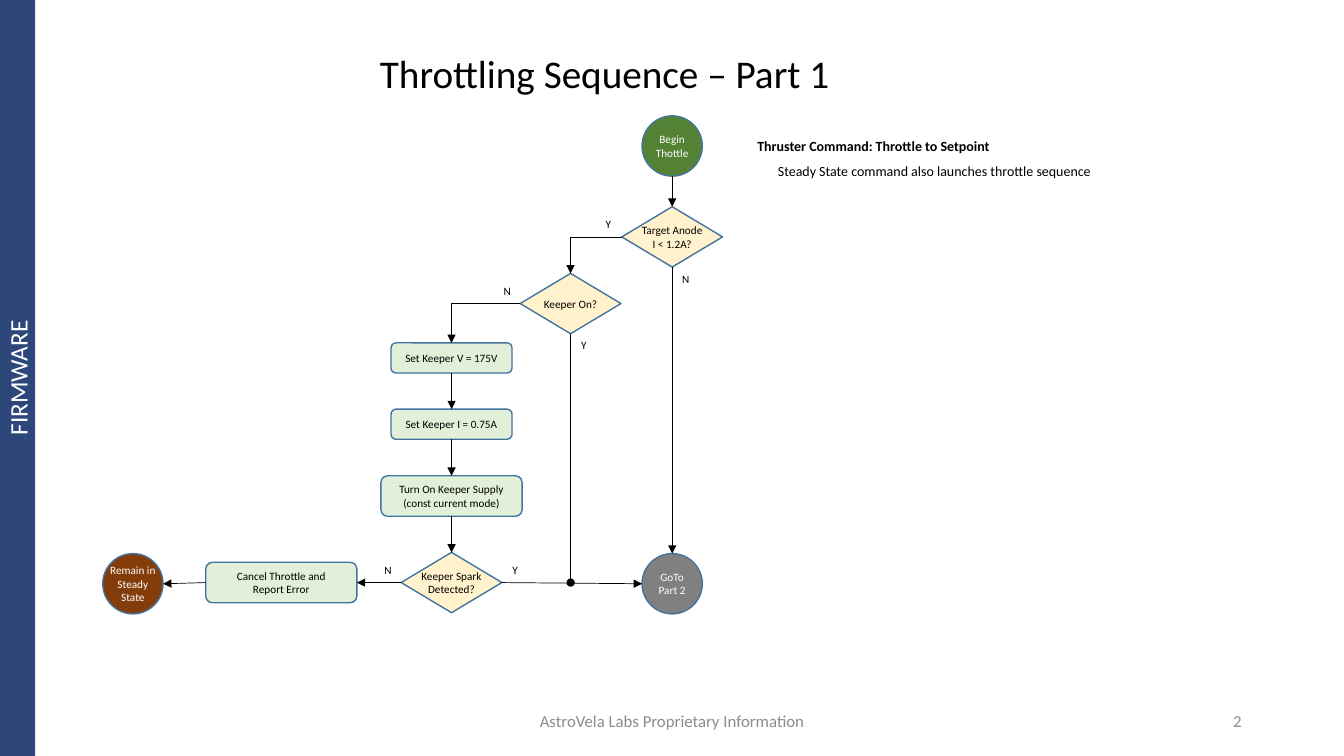
from lxml import etree
from pptx import Presentation
from pptx.dml.color import RGBColor
from pptx.enum.shapes import MSO_CONNECTOR, MSO_SHAPE
from pptx.enum.text import MSO_ANCHOR, MSO_AUTO_SIZE, PP_ALIGN
from pptx.oxml.ns import qn
from pptx.util import Cm, Pt

CIRCLE, DECISION = MSO_SHAPE.OVAL, MSO_SHAPE.DIAMOND
STEP, BAR = MSO_SHAPE.ROUNDED_RECTANGLE, MSO_SHAPE.RECTANGLE
STRAIGHT, ELBOW = MSO_CONNECTOR.STRAIGHT, MSO_CONNECTOR.ELBOW
LEFT_ALIGN, CENTER, RIGHT_ALIGN = PP_ALIGN.LEFT, PP_ALIGN.CENTER, PP_ALIGN.RIGHT
MIDDLE, UPPER = MSO_ANCHOR.MIDDLE, MSO_ANCHOR.TOP
TOP, LEFT, BOTTOM, RIGHT = range(4)
DIRECTIONS = {TOP: (0, -1), LEFT: (-1, 0), BOTTOM: (0, 1), RIGHT: (1, 0)}

FONT = "Calibri"
BLACK, WHITE, GREY = "000000", "FFFFFF", "8C8C8C"
NAVY, OUTLINE = "2D477B", "43739E"
CREAM, MINT = "FFF2CC", "E2F0D9"

TITLE = "Throttling Sequence – Part 1"
SECTION = "FIRMWARE"

THROTTLE_X, KEEPER_X, SETUP_X, CANCEL_X, STEADY_X = 16.94, 14.38, 11.38, 7.09, 3.35
SPARK_Y, END_Y = 14.68, 14.71
ROUND = (1.52, 1.52)
RHOMB = (2.54, 1.52)

NODES = {
    "begin": (CIRCLE, THROTTLE_X, 3.68, ROUND, "548235", WHITE, "Begin\nThottle"),
    "target": (DECISION, THROTTLE_X, 5.97, RHOMB, CREAM, BLACK, "Target Anode\nI < 1.2A?"),
    "keeper": (DECISION, KEEPER_X, 7.65, RHOMB, CREAM, BLACK, "Keeper On?"),
    "voltage": (STEP, SETUP_X, 9.02, (3.05, 0.76), MINT, BLACK, "Set Keeper V = 175V"),
    "current": (STEP, SETUP_X, 10.69, (3.05, 0.76), MINT, BLACK, "Set Keeper I = 0.75A"),
    "supply": (STEP, SETUP_X, 12.5, (3.56, 1.02), MINT, BLACK,
               "Turn On Keeper Supply\n(const current mode)"),
    "spark": (DECISION, SETUP_X, SPARK_Y, RHOMB, CREAM, BLACK, "Keeper Spark\nDetected?"),
    "cancel": (STEP, CANCEL_X, SPARK_Y, (3.81, 1.02), MINT, BLACK,
               "Cancel Throttle and\nReport Error"),
    "part2": (CIRCLE, THROTTLE_X, END_Y, ROUND, "808080", WHITE, "GoTo\nPart 2"),
    "steady": (CIRCLE, STEADY_X, END_Y, ROUND, "843C0B", WHITE, "Remain in\nSteady\nState"),
}
JUNCTION = (KEEPER_X, SPARK_Y)

LINKS = [
    ("begin", BOTTOM, "target", TOP, ""),
    ("target", LEFT, "keeper", TOP, "Y"),
    ("target", BOTTOM, "part2", TOP, "N"),
    ("keeper", LEFT, "voltage", TOP, "N"),
    ("keeper", BOTTOM, None, None, "Y"),
    ("voltage", BOTTOM, "current", TOP, ""),
    ("current", BOTTOM, "supply", TOP, ""),
    ("supply", BOTTOM, "spark", TOP, ""),
    ("spark", LEFT, "cancel", RIGHT, "N"),
    ("spark", RIGHT, "part2", LEFT, "Y"),
    ("cancel", LEFT, "steady", RIGHT, ""),
]
LABEL_W, LABEL_H = 0.67, 0.61

NOTES = [
    ("Thruster Command: Throttle to Setpoint", (18.77, 3.33, 6.48, 0.69), 10, BLACK, True, CENTER, UPPER, False),
    ("Steady State command also launches throttle sequence",
     (19.28, 3.96, 8.53, 0.69), 10, BLACK, False, CENTER, UPPER, False),
    ("AstroVela Labs Proprietary Information",
     (7.16, 17.65, 19.56, 1.02), 12, GREY, False, CENTER, MIDDLE, True),
    ("2", (27.81, 17.65, 3.73, 1.02), 12, GREY, False, RIGHT_ALIGN, MIDDLE, True),
]


def color(value):
    return RGBColor.from_string(value)


def write(shape, text, size, ink, align=CENTER, anchor=MIDDLE, wrap=True, bold=False):
    frame = shape.text_frame
    frame.text = text
    frame.word_wrap = wrap
    frame.vertical_anchor = anchor
    for paragraph in frame.paragraphs:
        paragraph.alignment = align
        for run in paragraph.runs:
            run.font.name = FONT
            run.font.size = Pt(size)
            run.font.bold = bold
            run.font.color.rgb = color(ink)


def add_text(slide, text, box, size, ink, bold, align, anchor, wrap):
    note = slide.shapes.add_textbox(*map(Cm, box))
    write(note, text, size, ink, align, anchor, wrap, bold)


def add_filled(slide, kind, box, fill):
    shape = slide.shapes.add_shape(kind, *map(Cm, box))
    shape.shadow.inherit = False
    shape.fill.solid()
    shape.fill.fore_color.rgb = color(fill)
    return shape


def add_node(slide, kind, x, y, size, fill, ink, text):
    w, h = size
    node = add_filled(slide, kind, (x - w / 2, y - h / 2, w, h), fill)
    node.line.color.rgb = color(OUTLINE)
    node.line.width = Pt(1)
    write(node, text, 8, ink, wrap=kind == STEP)
    return node


def side_point(name, side):
    x, y, (w, h) = NODES[name][1:4]
    dx, dy = DIRECTIONS[side]
    return x + dx * w / 2, y + dy * h / 2


def add_link(slide, shapes, source, out, target, into, label):
    start = side_point(source, out)
    end = side_point(target, into) if target else JUNCTION
    bent = (out, into) == (LEFT, TOP)
    link = slide.shapes.add_connector(ELBOW if bent else STRAIGHT, *map(Cm, start + end))
    if NODES[source][0] != CIRCLE:
        link.begin_connect(shapes[source], out)
    if target and NODES[target][0] != CIRCLE:
        link.end_connect(shapes[target], into)
    link.line.color.rgb = color(BLACK)
    link.line.width = Pt(0.5)
    properties = link._element.spPr
    if bent:
        properties.find(qn("a:prstGeom")).set("prst", "bentConnector2")
    tail = etree.SubElement(properties.find(qn("a:ln")), qn("a:tailEnd"))
    tail.set("type", "triangle" if target else "oval")
    etree.SubElement(properties, qn("a:effectLst"))
    if label:
        x, y = start
        left = x - LABEL_W if out == LEFT else x
        top = y if out == BOTTOM else y - LABEL_H
        add_text(slide, label, (left, top, LABEL_W, LABEL_H), 8, BLACK, False, CENTER, UPPER, False)


def main():
    deck = Presentation()
    deck.slide_width, deck.slide_height = Cm(33.87), Cm(19.05)
    slide = deck.slides.add_slide(deck.slide_layouts[5])

    title = slide.shapes.title
    title.left, title.top, title.width, title.height = map(Cm, (9.32, 1.27, 22.23, 1.27))
    write(title, TITLE, 28, BLACK, LEFT_ALIGN)
    title.text_frame.auto_size = MSO_AUTO_SIZE.NONE
    title.text_frame.paragraphs[0].line_spacing = 0.9

    section = add_filled(slide, BAR, (0, 0, 0.89, 19.05), NAVY)
    section.line.fill.background()
    write(section, SECTION, 18, WHITE)
    section.text_frame._txBody.bodyPr.set("vert", "vert270")

    shapes = {name: add_node(slide, *node) for name, node in NODES.items()}
    for link in LINKS:
        add_link(slide, shapes, *link)
    for note in NOTES:
        add_text(slide, *note)

    deck.save("out.pptx")


if __name__ == "__main__":
    main()
